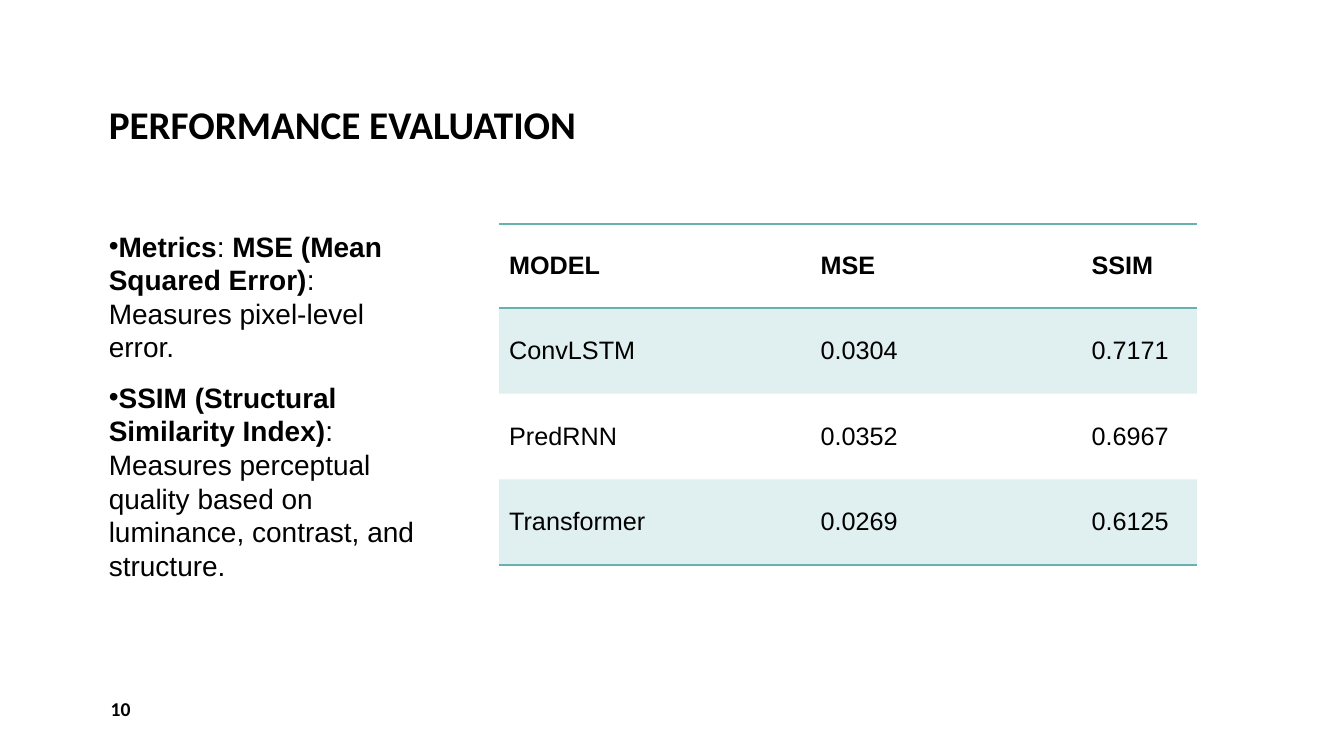
from lxml import etree
from pptx import Presentation
from pptx.dml.color import RGBColor
from pptx.enum import text
from pptx.oxml import ns
from pptx.util import Pt

BLACK = RGBColor(0x00, 0x00, 0x00)
TEAL = RGBColor(0x66, 0xB2, 0xB0)
PLAIN_TABLE_STYLE = "{2D5ABB26-0587-4C30-8999-92F81FD0307C}"


def set_font(paragraph, name, size, bold=None):
    font = paragraph.font
    font.name, font.size, font.bold = name, Pt(size), bold
    font.color.rgb = BLACK


def add_border(cell, side):
    """Draw a teal line on one side of a cell: lnT or lnB."""
    line = etree.Element(ns.qn(f"a:{side}"), w=str(Pt(1)))
    fill = etree.SubElement(line, ns.qn("a:solidFill"))
    etree.SubElement(fill, ns.qn("a:srgbClr"), val=str(TEAL))
    properties = cell._tc.get_or_add_tcPr()
    # Border lines come before the fill, in the order top, bottom
    properties.insert(len(properties.findall(ns.qn("a:lnT"))), line)


prs = Presentation()
prs.slide_width, prs.slide_height = Pt(960), Pt(540)
slide = prs.slides.add_slide(prs.slide_layouts[1])

# Title
title = slide.shapes.title
title.left, title.top, title.width, title.height = Pt(70.5), Pt(11), Pt(486), Pt(98.5)
title.text_frame.text = "PERFORMANCE EVALUATION"
title.text_frame.vertical_anchor = text.MSO_ANCHOR.BOTTOM
title.text_frame.auto_size = text.MSO_AUTO_SIZE.NONE
heading = title.text_frame.paragraphs[0]
heading.alignment = text.PP_ALIGN.LEFT
heading.line_spacing = 0.9
set_font(heading, "Calibri", 28, True)

# Metric definitions, alternating bold and regular runs
definitions = [
    ["Metrics", ": ", "MSE (Mean Squared Error)", ": Measures pixel-level error."],
    ["SSIM (Structural Similarity Index)",
     ": Measures perceptual quality based on luminance, contrast, and structure."],
]
metrics = slide.placeholders[1]
metrics.left, metrics.top, metrics.width, metrics.height = Pt(70.5), Pt(160), Pt(237.5), Pt(307.5)
metrics.text_frame.auto_size = text.MSO_AUTO_SIZE.NONE
for index, parts in enumerate(definitions):
    if index:
        definition = metrics.text_frame.add_paragraph()
    else:
        definition = metrics.text_frame.paragraphs[0]
    properties = definition._p.get_or_add_pPr()
    properties.set("marL", "0")
    properties.set("indent", "0")
    etree.SubElement(properties, ns.qn("a:buChar"), char="•")
    definition.line_spacing = Pt(24)
    definition.space_before, definition.space_after = Pt(0), Pt(12)
    set_font(definition, "Arial", 20)
    for position, part in enumerate(parts):
        run = definition.add_run()
        run.text = part
        run.font.bold = position % 2 == 0

# Model scores
scores = [
    ["MODEL", "MSE", "SSIM"],
    ["ConvLSTM", "0.0304", "0.7171"],
    ["PredRNN", "0.0352", "0.6967"],
    ["Transformer", "0.0269", "0.6125"],
]
table = slide.shapes.add_table(4, 3, Pt(356.5), Pt(160), Pt(498.5), Pt(243.6)).table
table._tbl.tblPr.find(ns.qn("a:tableStyleId")).text = PLAIN_TABLE_STYLE
for column, width in zip(table.columns, [222.5, 193.5, 82.5]):
    column.width = Pt(width)
for r, row_scores in enumerate(scores):
    table.rows[r].height = Pt(61.2 if r else 60)
    for c, score in enumerate(row_scores):
        cell = table.cell(r, c)
        cell.text = score
        cell.vertical_anchor = text.MSO_ANCHOR.MIDDLE
        set_font(cell.text_frame.paragraphs[0], "Arial", 18, r == 0)
        if r % 2:
            cell.fill.solid()
            cell.fill.fore_color.rgb = TEAL
            tint = cell._tc.tcPr.find(".//" + ns.qn("a:srgbClr"))
            etree.SubElement(tint, ns.qn("a:alpha"), val="20000")
        else:
            cell.fill.background()
        if r == 0:
            add_border(cell, "lnT")
        if r in (0, len(scores) - 1):
            add_border(cell, "lnB")

# Page number
page = slide.shapes.add_textbox(Pt(72), Pt(492), Pt(93.5), Pt(28.5)).text_frame
page.word_wrap = True
page.vertical_anchor = text.MSO_ANCHOR.MIDDLE
page.text = "10"
set_font(page.paragraphs[0], "Calibri", 14, True)

prs.save("out.pptx")
